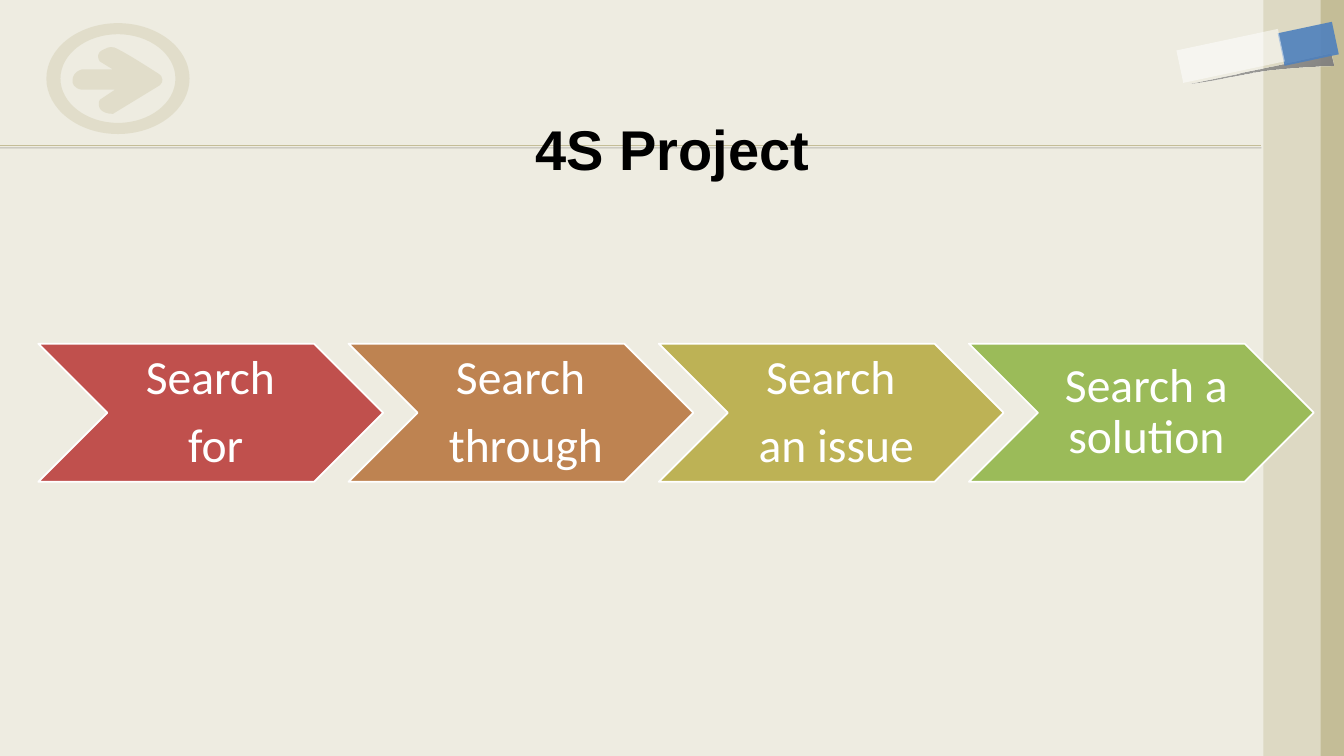
from lxml import etree
from pptx import Presentation
from pptx.dml.color import RGBColor
from pptx.enum.shapes import MSO_CONNECTOR, MSO_SHAPE
from pptx.enum.text import MSO_ANCHOR, PP_ALIGN
from pptx.oxml import parse_xml
from pptx.oxml.ns import nsdecls, qn
from pptx.util import Inches, Pt

RECTANGLE, CHEVRON = MSO_SHAPE.RECTANGLE, MSO_SHAPE.CHEVRON
STRAIGHT = MSO_CONNECTOR.STRAIGHT
MIDDLE, CENTER = MSO_ANCHOR.MIDDLE, PP_ALIGN.CENTER

COLORS = {
    "background": "EEECE1", "tan": "C4BD97", "sand": "DDD9C3",
    "blue": "4F81BD", "white": "FFFFFF", "black": "000000", "gray": "808080",
    "red": "C0504D", "orange": "BE8351", "olive": "BDB255", "green": "9BBB59",
}
STEPS = [
    ("red", ["Search ", "for"]),
    ("orange", ["Search ", "through"]),
    ("olive", ["Search ", "an issue"]),
    ("green", ["Search a solution"]),
]
STEP_LEFT, STEP_TOP, STEP_WIDTH, STEP_HEIGHT = 0.38, 3.41, 3.42, 1.37
STEP_PITCH = (9.61 - STEP_LEFT) / (len(STEPS) - 1)
STEP_FRAME = {
    "word_wrap": True, "vertical_anchor": MIDDLE, "margin_left": Inches(0.15),
    "margin_right": Inches(0.05), "margin_top": Inches(0.05), "margin_bottom": Inches(0.05),
}
STEP_PARA = {"alignment": CENTER, "line_spacing": 0.9, "space_after": Pt(11.9)}
STEP_FONT = {"name": "Calibri", "size": Pt(34)}
TITLE_FONT = {"name": "Arial", "size": Pt(40), "bold": True}

# Outlines: a pair is a straight segment, six numbers are a Bezier curve
ARROW = [
    (1.57, 0.73), (1.49, 0.68, 1.23, 0.51, 1.13, 0.47),
    (1.07, 0.46, 1.06, 0.48, 1.01, 0.5), (0.97, 0.52, 0.96, 0.57, 0.99, 0.61),
    (1.12, 0.69), (0.81, 0.69), (0.74, 0.71, 0.72, 0.76, 0.72, 0.79),
    (0.71, 0.83, 0.74, 0.88, 0.81, 0.89), (1.14, 0.89), (0.99, 0.99),
    (0.97, 1.02, 0.98, 1.07, 1, 1.09), (1.02, 1.11, 1.06, 1.13, 1.12, 1.13),
    (1.35, 0.99, 1.58, 0.85, 1.58, 0.85), (1.61, 0.82, 1.61, 0.81, 1.61, 0.79),
    (1.61, 0.77, 1.6, 0.75, 1.57, 0.73),
]
ERASER_SHADOW = [
    (13.2, 0.53), (13.23, 0.65), (12.38, 0.68, 12.2, 0.78, 11.8, 0.83),
    (12.27, 0.73, 12.73, 0.64, 13.2, 0.53),
]
ARC = 0.55  # Bezier handle length of a quarter ellipse


def rgb(color):
    return RGBColor.from_string(COLORS[color])


def set_values(target, values):
    for name, value in values.items():
        setattr(target, name, value)


def paint(shape, color, opacity=100):
    shape.shadow.inherit = False
    shape.line.fill.background()
    shape.fill.solid()
    shape.fill.fore_color.rgb = rgb(color)
    if opacity < 100:
        tint = shape.element.spPr.find(qn("a:solidFill"))[0]
        etree.SubElement(tint, qn("a:alpha"), val=str(opacity * 1000))


def add_block(slide, preset, place, color, opacity=100, rotation=0):
    block = slide.shapes.add_shape(preset, *map(Inches, place))
    block.rotation = rotation
    paint(block, color, opacity)
    return block


def ellipse(x, y, radius_x, radius_y):
    quarters = [((0, -1), (1, 0)), ((1, 0), (0, 1)), ((0, 1), (-1, 0)), ((-1, 0), (0, -1))]
    outline = [(x, y - radius_y)]
    for (ax, ay), (bx, by) in quarters:
        nodes = [(ax + ARC * bx, ay + ARC * by), (bx + ARC * ax, by + ARC * ay), (bx, by)]
        outline.append(tuple(value for nx, ny in nodes
                             for value in (x + radius_x * nx, y + radius_y * ny)))
    return outline


def add_outline(slide, contours, color, opacity=100):
    ends = [[tuple(map(Inches, segment[-2:])) for segment in contour] for contour in contours]
    builder = slide.shapes.build_freeform(*ends[0][0])
    for index, points in enumerate(ends):
        if index:
            builder.move_to(*points[0])
        builder.add_line_segments(points[1:], close=True)
    shape = builder.convert_to_shape()
    # Turn the straight segments that stand for curves into Bezier curves
    segments = [segment for contour in contours for segment in contour[1:]]
    straights = list(shape.element.spPr.iter(qn("a:lnTo")))
    for straight, segment in zip(straights, segments):
        if len(segment) == 6:
            curve = etree.Element(qn("a:cubicBezTo"))
            for x, y in zip(segment[::2], segment[1::2]):
                etree.SubElement(curve, qn("a:pt"), x=str(Inches(x) - shape.left),
                                 y=str(Inches(y) - shape.top))
            straight.getparent().replace(straight, curve)
    paint(shape, color, opacity)
    return shape


def fade(shape, color, opacity):
    solid = shape.element.spPr.find(qn("a:solidFill"))
    gradient = parse_xml(
        f'<a:gradFill {nsdecls("a")} rotWithShape="1"><a:gsLst>'
        f'<a:gs pos="0"><a:srgbClr val="{COLORS[color]}"/></a:gs>'
        f'<a:gs pos="100000"><a:srgbClr val="{COLORS[color]}">'
        f'<a:alpha val="{opacity * 1000}"/></a:srgbClr></a:gs></a:gsLst>'
        '<a:path path="circle"><a:fillToRect l="100000" t="100000"/></a:path></a:gradFill>')
    solid.getparent().replace(solid, gradient)


def add_rule(slide, y, right):
    rule = slide.shapes.add_connector(STRAIGHT, 0, Inches(y), Inches(right), Inches(y))
    rule.line.width = Pt(0.75)
    rule.line.color.rgb = rgb("tan")
    rule.element.spPr.append(parse_xml(
        f'<a:effectLst {nsdecls("a")}><a:outerShdw dist="{Pt(2)}" dir="5400000">'
        f'<a:srgbClr val="{COLORS["black"]}"><a:alpha val="22000"/></a:srgbClr>'
        '</a:outerShdw></a:effectLst>'))


def write(frame, lines, para_values, font_values, color):
    for index, line in enumerate(lines):
        para = frame.add_paragraph() if index else frame.paragraphs[0]
        set_values(para, para_values)
        span = para.add_run()
        span.text = line
        set_values(span.font, font_values)
        span.font.color.rgb = rgb(color)


def add_step(slide, index, color, lines):
    place = (STEP_LEFT + index * STEP_PITCH, STEP_TOP, STEP_WIDTH, STEP_HEIGHT)
    step = add_block(slide, CHEVRON, place, color)
    step.line.color.rgb = rgb("white")
    step.line.width = Pt(1.25)
    set_values(step.text_frame, STEP_FRAME)
    write(step.text_frame, lines, STEP_PARA, STEP_FONT, "white")


def add_decoration(slide):
    add_rule(slide, 1.44, 12.51)
    # Arrow in a ring
    add_outline(slide, [ARROW], "tan", 30)
    ring = [ellipse(1.17, 0.78, 0.71, 0.55), ellipse(1.17, 0.78, 0.57, 0.44)]
    add_outline(slide, ring, "tan", 30)
    # Side bands
    add_block(slide, RECTANGLE, (12.55, 0, 0.79, 7.5), "tan")
    add_block(slide, RECTANGLE, (12.53, 0, 0.57, 7.5), "sand")
    # Eraser
    shadow = add_outline(slide, [ERASER_SHADOW], "gray")
    fade(shadow, "gray", 56)
    add_block(slide, RECTANGLE, (12.81, 0.16, 0.33, 0.55), "blue", 90, 78)
    add_block(slide, RECTANGLE, (12.04, 0.04, 0.33, 1.03), "white", 50, 78)


def place_title(slide, text):
    title = slide.shapes.title
    set_values(title, {"left": Inches(0.67), "top": Inches(0.84),
                       "width": Inches(12), "height": Inches(1.25)})
    set_values(title.text_frame, {"word_wrap": True, "vertical_anchor": MIDDLE})
    write(title.text_frame, [text], {"alignment": CENTER}, TITLE_FONT, "black")
    # Bring the title in front of the decoration
    title.element.getparent().append(title.element)


def main():
    deck = Presentation()
    set_values(deck, {"slide_width": Inches(13.33), "slide_height": Inches(7.5)})
    slide = deck.slides.add_slide(deck.slide_layouts[5])
    slide.background.fill.solid()
    slide.background.fill.fore_color.rgb = rgb("background")

    add_decoration(slide)
    place_title(slide, "4S Project")
    for index, (color, lines) in enumerate(STEPS):
        add_step(slide, index, color, lines)
    deck.save("out.pptx")


main()
